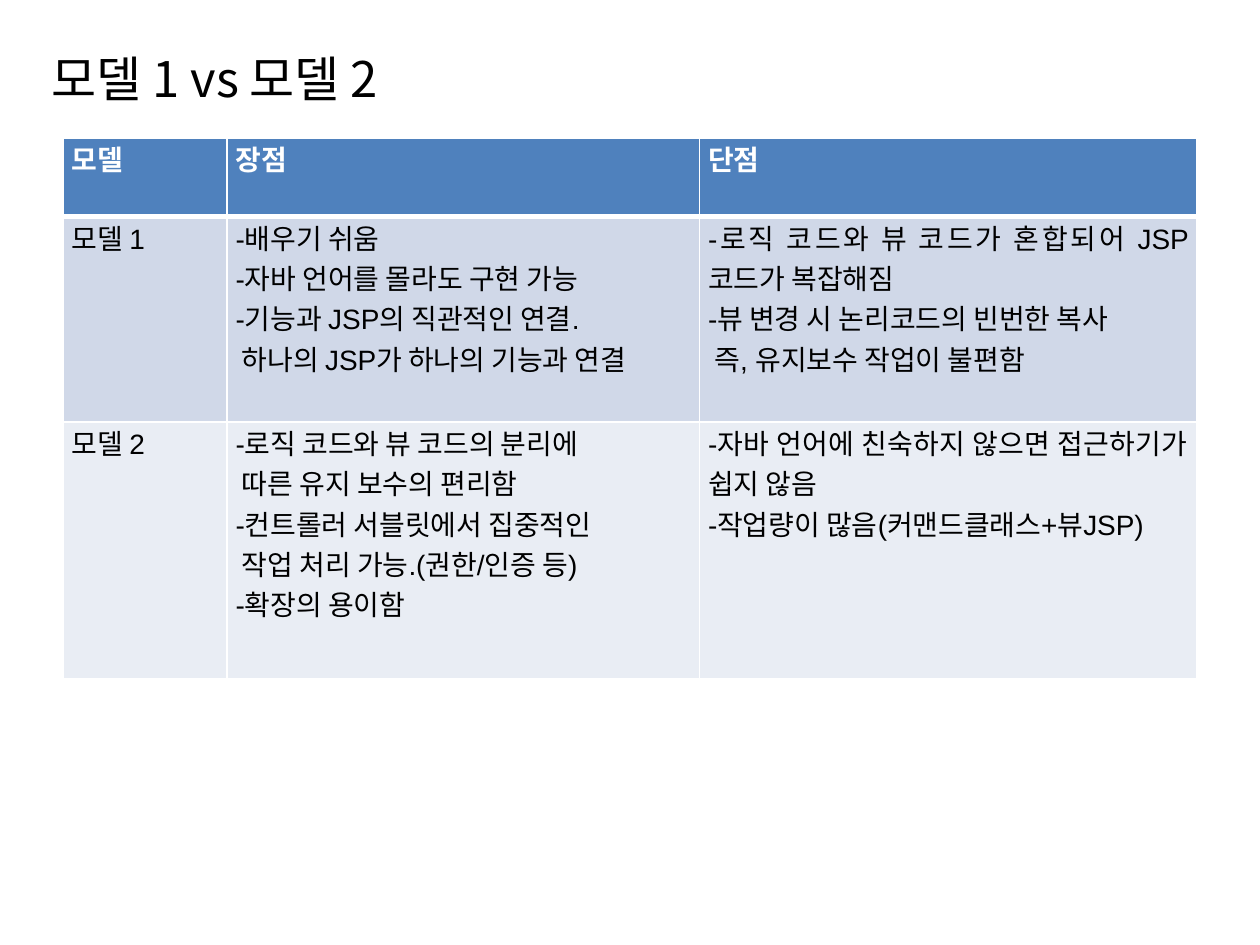
from pptx import Presentation
from pptx.dml.color import RGBColor
from pptx.enum.text import MSO_ANCHOR as Anchor, PP_ALIGN as Align
from pptx.oxml.xmlchemy import OxmlElement as Element
from pptx.util import Inches, Pt

WHITE = RGBColor(0xFF, 0xFF, 0xFF)
BLACK = RGBColor(0x00, 0x00, 0x00)
HEADER_BLUE = RGBColor(0x4F, 0x81, 0xBD)
BAND_BLUE = RGBColor(0xD0, 0xD8, 0xE8)
BAND_PALE = RGBColor(0xE9, 0xED, 0xF4)

COLUMN_WIDTHS = (1.3, 3.75, 3.95)
ROW_HEIGHTS = (0.62, 1.63, 2.04)
ROW_FILLS = (HEADER_BLUE, BAND_BLUE, BAND_PALE)
COMPARISON = (
    ("모델", "장점", "단점"),
    (
        "모델 1",
        "-배우기 쉬움\n-자바 언어를 몰라도 구현 가능\n"
        "-기능과 JSP의 직관적인 연결.\n 하나의 JSP가 하나의 기능과 연결",
        "-로직 코드와 뷰 코드가 혼합되어 JSP 코드가 복잡해짐\n"
        "-뷰 변경 시 논리코드의 빈번한 복사\n 즉, 유지보수 작업이 불편함",
    ),
    (
        "모델 2",
        "-로직 코드와 뷰 코드의 분리에\n 따른 유지 보수의 편리함\n"
        "-컨트롤러 서블릿에서 집중적인\n 작업 처리 가능.(권한/인증 등)\n-확장의 용이함",
        "-자바 언어에 친숙하지 않으면 접근하기가 쉽지 않음\n"
        "-작업량이 많음(커맨드클래스+뷰JSP)",
    ),
)


class SlideBuilder:
    """Draws styled titles and tables on the current slide."""

    korean_font = "Noto Sans CJK KR"
    table_font = "Arial"
    title_size = Pt(28)
    table_size = Pt(16)

    def __init__(self, slide):
        self.slide = slide

    def set_text(self, text_frame, text, font_name, size, color, align, bold=False):
        text_frame.text = text
        for paragraph in text_frame.paragraphs:
            paragraph.alignment = align
            for run in paragraph.runs:
                run.font.name = font_name
                run.font.size = size
                run.font.bold = bold
                run.font.color.rgb = color
                east_asian = Element("a:ea")
                east_asian.set("typeface", self.korean_font)
                run.font._element.append(east_asian)

    def title(self, text, left, top, width, height):
        box = self.slide.shapes.add_textbox(
            Inches(left), Inches(top), Inches(width), Inches(height)
        )
        box.text_frame.word_wrap = True
        box.text_frame.vertical_anchor = Anchor.MIDDLE
        self.set_text(
            box.text_frame, text, self.korean_font, self.title_size, BLACK, Align.LEFT
        )

    def border(self, cell, side, width):
        line = Element(f"a:ln{side}")
        line.set("w", str(Pt(width)))
        fill = Element("a:solidFill")
        color = Element("a:srgbClr")
        color.set("val", str(WHITE))
        fill.append(color)
        line.append(fill)
        cell._tc.get_or_add_tcPr().append(line)

    def cell(self, cell, text, fill, is_header, top_border, bottom_border):
        cell.margin_left = cell.margin_right = Inches(0.07)
        cell.margin_top = cell.margin_bottom = 0
        color = WHITE if is_header else BLACK
        self.set_text(
            cell.text_frame, text, self.table_font, self.table_size,
            color, Align.JUSTIFY, is_header,
        )
        borders = {"L": 1, "R": 1, "T": top_border, "B": bottom_border}
        for side, width in borders.items():
            self.border(cell, side, width)
        cell.fill.solid()
        cell.fill.fore_color.rgb = fill

    def table(self, rows, left, top, widths, heights, fills):
        table = self.slide.shapes.add_table(
            len(rows), len(widths), Inches(left), Inches(top),
            Inches(sum(widths)), Inches(sum(heights)),
        ).table
        for column, width in zip(table.columns, widths):
            column.width = Inches(width)
        for index, (row, height) in enumerate(zip(table.rows, heights)):
            row.height = Inches(height)
            top_border = 3 if index == 1 else 1
            bottom_border = 3 if index == 0 else 1
            for cell, text in zip(row.cells, rows[index]):
                self.cell(
                    cell, text, fills[index], index == 0, top_border, bottom_border
                )


def main():
    presentation = Presentation()
    presentation.slide_width = Inches(10)
    presentation.slide_height = Inches(7.5)
    builder = SlideBuilder(presentation.slides.add_slide(presentation.slide_layouts[6]))
    builder.title("모델 1 vs 모델 2", 0.31, 0.3, 9.45, 0.64)
    builder.table(COMPARISON, 0.5, 1.1, COLUMN_WIDTHS, ROW_HEIGHTS, ROW_FILLS)
    presentation.save("out.pptx")


if __name__ == "__main__":
    main()
